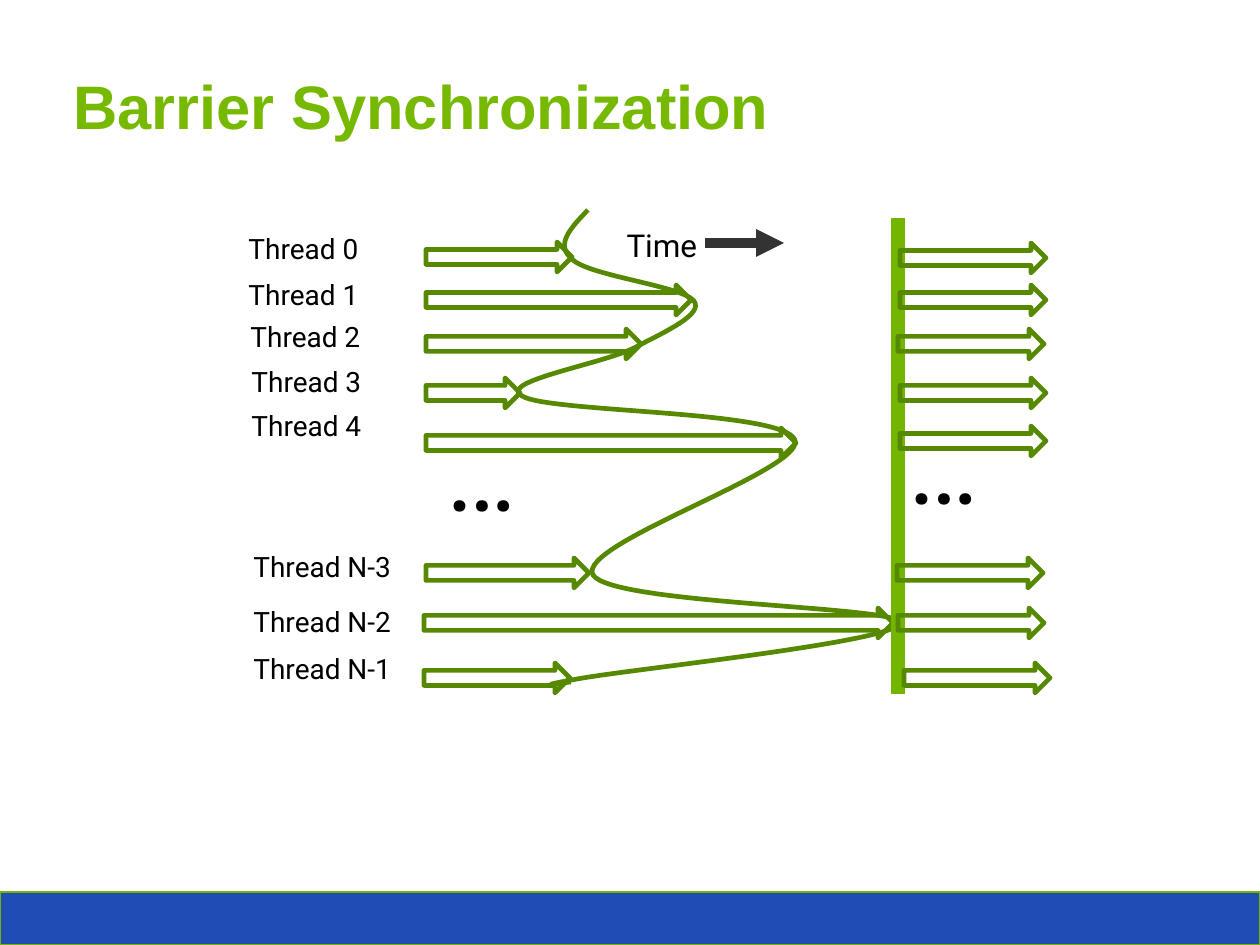
from lxml.etree import SubElement
from pptx import Presentation
from pptx.dml.color import RGBColor
from pptx.enum.shapes import MSO_CONNECTOR, MSO_SHAPE
from pptx.oxml.ns import qn
from pptx.util import Emu, Pt

SCALE = 914400 / 168
GREEN = "578900"


def px(n):
    return Emu(round(n * SCALE))


def tint(code):
    return RGBColor.from_string(code)


def apply(item, values):
    for key, value in values.items():
        setattr(item, key, value)


class Board:
    label = {"name": "Roboto", "size": Pt(12), "color": "000000"}

    def __init__(self, deck):
        self.slide = deck.slides.add_slide(deck.slide_layouts[6])
        self.shapes = self.slide.shapes

    def stroke(self, shape, color, width):
        shape.line.color.rgb = tint(color)
        shape.line.width = Pt(width)

    def outline(self, shape, color, width, fill=None):
        shape.shadow.inherit = False
        if fill:
            shape.fill.solid()
            shape.fill.fore_color.rgb = tint(fill)
        else:
            shape.fill.background()
        self.stroke(shape, color, width)

    def text(self, words, x, y, w, h, **style):
        frame = self.shapes.add_textbox(px(x), px(y), px(w), px(h)).text_frame
        frame.word_wrap = True
        run = frame.paragraphs[0].add_run()
        run.text = words
        style = {**self.label, **style}
        run.font.color.rgb = tint(style.pop("color"))
        apply(run.font, style)

    def bar(self, x, y, w, h, fill, edge):
        shape = self.shapes.add_shape(MSO_SHAPE.RECTANGLE, px(x), px(y), px(w), px(h))
        self.outline(shape, edge, 0.75, fill)

    def arrow(self, x, mid, w):
        shape = self.shapes.add_shape(
            MSO_SHAPE.RIGHT_ARROW, px(x), px(mid - 15), px(w), px(30))
        self.outline(shape, GREEN, 2)

    def line(self, x1, y1, x2, y2, color, width, head=False):
        link = self.shapes.add_connector(
            MSO_CONNECTOR.STRAIGHT, px(x1), px(y1), px(x2), px(y2))
        self.stroke(link, color, width)
        if head:
            SubElement(link.line._get_or_add_ln(), qn("a:tailEnd"), type="triangle")
        SubElement(link._element.spPr, qn("a:effectLst"))

    def curve(self, points):
        pen = self.shapes.build_freeform(*points[0], scale=SCALE)
        pen.add_line_segments(points[1:], close=False)
        shape = pen.convert_to_shape()
        self.outline(shape, GREEN, 2)
        route = next(shape._element.iter(qn("a:path")))
        steps = route.findall(qn("a:lnTo"))
        for i in range(0, len(steps), 3):
            bend = SubElement(route, qn("a:cubicBezTo"))
            for step in steps[i:i + 3]:
                bend.append(step[0])
                route.remove(step)


THREADS = [
    ("Thread 0", 232, 223, 426, 257, 146, 900, 258),
    ("Thread 1", 232, 269, 426, 300, 265, 900, 300),
    ("Thread 2", 234, 311, 426, 344, 215, 898, 344),
    ("Thread 3", 235, 356, 426, 393, 94, 900, 393),
    ("Thread 4", 235, 400, 426, 443, 370, 900, 441),
    ("Thread N-3", 237, 541, 426, 573, 163, 897, 573),
    ("Thread N-2", 237, 596, 424, 623, 469, 898, 623),
    ("Thread N-1", 237, 643, 424, 678, 146, 904, 678),
]

FRONT = [
    (588, 210),
    (571, 228), (554, 245), (573, 260),
    (590, 276), (682, 286), (694, 301),
    (704, 314), (667, 331), (638, 346),
    (610, 363), (496, 381), (522, 396),
    (548, 413), (783, 410), (795, 440),
    (806, 470), (576, 544), (593, 575),
    (612, 605), (902, 606), (900, 623),
    (897, 642), (632, 669), (578, 679),
    (522, 689), (571, 682), (571, 682),
]


def main():
    deck = Presentation()
    apply(deck, {"slide_width": px(1260), "slide_height": px(945)})
    board = Board(deck)
    board.bar(0, 892, 1260, 53, "204DB5", "72B400")
    board.text("Barrier Synchronization", 57, 60, 1146, 80,
               name="Arial", size=Pt(26.3), bold=True, color="76B900")
    for name, left, top, start, mid, span, _, _ in THREADS:
        board.text(name, left, top, 184, 67)
        board.arrow(start, mid, span)
    board.curve(FRONT)
    board.line(898, 218, 898, 694, "73B500", 6)
    for *_, start, mid in THREADS:
        board.arrow(start, mid, 146)
    for left, top in ((430, 398), (892, 391)):
        board.text("…", left, top, 118, 192, size=Pt(45))
    board.text("Time", 610, 218, 119, 74, size=Pt(13.5))
    board.line(705, 243, 784, 243, "333333", 4, head=True)
    deck.save("out.pptx")


if __name__ == "__main__":
    main()
